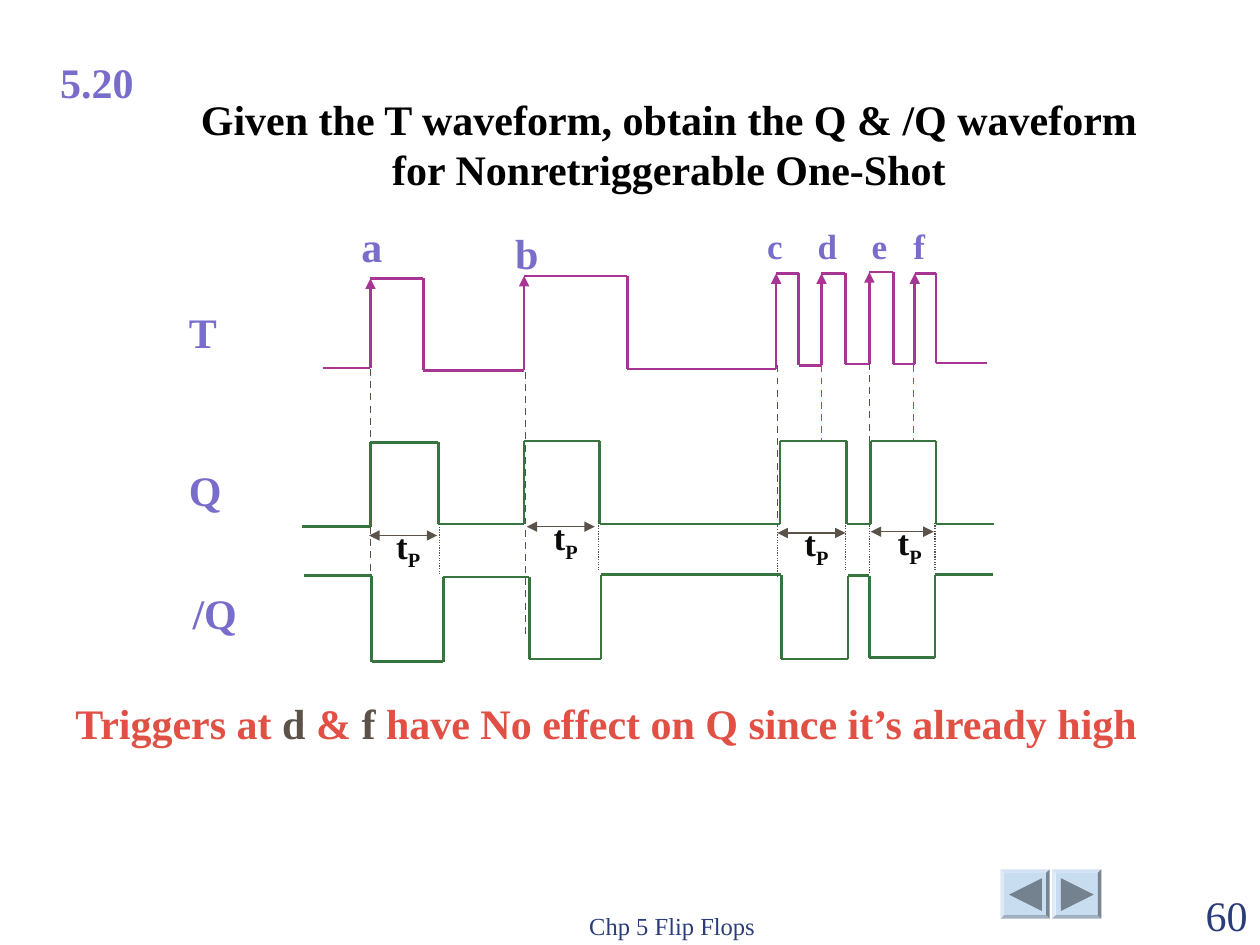
from dataclasses import dataclass

from lxml import etree
from pptx import Presentation
from pptx.dml.color import RGBColor
from pptx.enum.dml import MSO_LINE_DASH_STYLE as Dash
from pptx.enum.shapes import MSO_CONNECTOR as Connector, MSO_SHAPE as Shape
from pptx.enum.text import MSO_ANCHOR as Anchor, MSO_AUTO_SIZE as AutoSize, PP_ALIGN as Align
from pptx.oxml.ns import qn
from pptx.util import Inches, Pt


@dataclass(frozen=True)
class Theme:
    font: str = "Times New Roman"
    label: str = "786DCB"
    title: str = "000000"
    pulse: str = "0C0B0A"
    trigger: str = "A73594"
    output: str = "38743E"
    guide: str = "5B5249"
    ignored: str = "FF3300"
    note: str = "E15045"
    footer: str = "2A3D7A"
    button: str = "C9DDF1"
    arrow: str = "74818E"
    large: int = 24
    medium: int = 20
    small: int = 14


THEME = Theme()

# Waveforms: start point, (edge x, new level) steps, end x
T_WAVE = ((2.56, 2.92), [
    (2.94, 2.21), (3.36, 2.94), (4.16, 2.19), (4.98, 2.93),
    (6.16, 2.17), (6.34, 2.9), (6.52, 2.17), (6.71, 2.89),
    (6.9, 2.16), (7.09, 2.89), (7.26, 2.17), (7.43, 2.88)], 7.83)
Q_WAVE = ((2.4, 4.18), [
    (2.94, 3.51), (3.48, 4.16), (4.16, 3.5), (4.76, 4.16),
    (6.19, 3.5), (6.72, 4.16), (6.91, 3.5), (7.43, 4.16)], 7.89)
NOT_Q_WAVE = ((2.41, 4.57), [
    (2.95, 5.25), (3.52, 4.58), (4.2, 5.23), (4.77, 4.56),
    (6.2, 5.23), (6.73, 4.57), (6.9, 5.22), (7.42, 4.56)], 7.88)

# Trigger guides: x, top, bottom, colour
GUIDES = [
    (2.94, 2.93, 5.06, THEME.guide), (4.17, 2.95, 5.07, THEME.guide),
    (6.17, 2.9, 4.18, THEME.guide), (6.9, 2.88, 4.14, THEME.guide),
    (6.52, 2.9, 3.49, THEME.ignored), (7.25, 2.9, 3.49, THEME.ignored)]

# Pulse widths: left, right, arrow y, tops of the dotted limits by x
PULSES = [
    (2.93, 3.47, 4.25, {3.49: 4.18}),
    (4.18, 4.72, 4.18, {4.75: 4.15}),
    (6.17, 6.71, 4.23, {6.17: 4.2, 6.71: 4.15}),
    (6.91, 7.41, 4.22, {6.9: 4.17, 7.42: 4.15})]

LABELS = [
    ("5.20", 0.38, 0.4, 0.9), ("T", 1.4, 2.38, 0.54), ("Q", 1.4, 3.64, 0.5),
    ("/Q", 1.43, 4.61, 0.71), ("a", 2.77, 1.7, 0.4), ("b", 3.99, 1.76, 0.4)]


def rgb(colour):
    return RGBColor.from_string(colour)


def add_span(para, text, colour, size=THEME.large, bold=True):
    span = para.add_run()
    span.text = text
    font = span.font
    font.name, font.size, font.bold = THEME.font, Pt(size), bold
    font.color.rgb = rgb(colour)
    return span


def set_frame(box, align=Align.LEFT, anchor=Anchor.TOP, wrap=True):
    frame = box.text_frame
    frame.word_wrap, frame.auto_size = wrap, AutoSize.NONE
    frame.vertical_anchor = anchor
    frame.margin_left = frame.margin_right = Inches(0.1)
    frame.margin_top = frame.margin_bottom = Inches(0.05)
    para = frame.paragraphs[0]
    para.alignment = align
    return para


def add_box(page, left, top, width, height=0.5, **layout):
    box = page.shapes.add_textbox(
        Inches(left), Inches(top), Inches(width), Inches(height))
    return set_frame(box, **layout)


def add_line(page, start, end, colour, width=1.5, dash=None, heads=()):
    line = page.shapes.add_connector(
        Connector.STRAIGHT, *(Inches(value) for value in (*start, *end)))
    line.line.color.rgb = rgb(colour)
    line.line.width = Pt(width)
    if dash:
        line.line.dash_style = dash
    outline = line.line._get_or_add_ln()
    for head in heads:
        etree.SubElement(outline, qn(f"a:{head}"), type="triangle")
    etree.SubElement(line._element.spPr, qn("a:effectLst"))


def add_waveform(page, wave, colour, rising_arrows=False):
    (x, level), steps, end = wave
    for edge, new_level in steps:
        add_line(page, (x, level), (edge, level), colour)
        rising = rising_arrows and new_level < level
        add_line(page, (edge, level), (edge, new_level), colour,
                 heads=("tailEnd",) if rising else ())
        x, level = edge, new_level
    add_line(page, (x, level), (end, level), colour)


def add_pulse_width(page, left, right, y, limits):
    for x, top in limits.items():
        add_line(page, (x, top), (x, top + 0.37), THEME.guide, 0.75, Dash.ROUND_DOT)
    add_line(page, (left, y), (right, y), THEME.guide, 0.75,
             heads=("headEnd", "tailEnd"))
    para = add_box(page, left + 0.08, y - 0.14, 0.46, 0.48,
                   align=Align.CENTER, wrap=False)
    add_span(para, "t", THEME.pulse, THEME.medium)
    subscript = add_span(para, "P", THEME.pulse, THEME.medium)
    subscript.font._element.set("baseline", "-25000")


def add_trigger_letters(page):
    para = add_box(page, 5.99, 1.73, 1.55, 0.44)
    stops = etree.SubElement(para._p.get_or_add_pPr(), qn("a:tabLst"))
    for stop in (0.4, 0.83, 1.16):
        etree.SubElement(stops, qn("a:tab"), pos=str(Inches(stop)), algn="l")
    add_span(para, "c\td\te\tf", THEME.label, THEME.medium)


def add_button(page, left, rotation):
    parts = [(Shape.BEVEL, left, 6.9, 0.39, THEME.button),
             (Shape.ISOSCELES_TRIANGLE, left + 0.07, 6.97, 0.26, THEME.arrow)]
    for preset, x, y, size, colour in parts:
        shape = page.shapes.add_shape(
            preset, Inches(x), Inches(y), Inches(size), Inches(size))
        shape.shadow.inherit = False
        shape.fill.solid()
        shape.fill.fore_color.rgb = rgb(colour)
        shape.line.fill.background()
        if preset == Shape.BEVEL:
            shape.adjustments[0] = 0.07
        else:
            shape.rotation = rotation


def add_title(page, text):
    title = page.shapes.title
    title.left, title.top = Inches(1.29), Inches(0.69)
    title.width, title.height = Inches(8.04), Inches(0.9)
    add_span(set_frame(title, align=Align.CENTER), text, THEME.title)


def main():
    deck = Presentation()
    deck.slide_width, deck.slide_height = Inches(10), Inches(7.5)
    page = deck.slides.add_slide(deck.slide_layouts[5])

    # Heading and labels
    add_title(page, "Given the T waveform, obtain the Q & /Q waveform "
                    "for Nonretriggerable One-Shot")
    for text, left, top, width in LABELS:
        add_span(add_box(page, left, top, width), text, THEME.label)
    add_trigger_letters(page)

    # Timing diagram
    for x, top, bottom, colour in GUIDES:
        add_line(page, (x, top), (x, bottom), colour, 1, Dash.DASH)
    add_waveform(page, T_WAVE, THEME.trigger, rising_arrows=True)
    add_waveform(page, Q_WAVE, THEME.output)
    add_waveform(page, NOT_Q_WAVE, THEME.output)
    for pulse in PULSES:
        add_pulse_width(page, *pulse)

    # Conclusion
    para = add_box(page, 0.5, 5.49, 9.02)
    for text, colour in [
            ("Triggers at ", THEME.note), ("d", THEME.guide),
            (" & ", THEME.note), ("f", THEME.guide),
            (" have No effect on Q since it’s already high", THEME.note)]:
        add_span(para, text, colour)

    # Footer and navigation
    para = add_box(page, 3.75, 7.01, 3.17, align=Align.CENTER, anchor=Anchor.BOTTOM)
    add_span(para, "Chp 5 Flip Flops", THEME.footer, THEME.small, bold=False)
    para = add_box(page, 9, 7.01, 1, align=Align.RIGHT, anchor=Anchor.BOTTOM)
    add_span(para, "60", THEME.footer, bold=False)
    add_button(page, 7.94, -90)
    add_button(page, 8.35, 90)

    deck.save("out.pptx")


if __name__ == "__main__":
    main()
